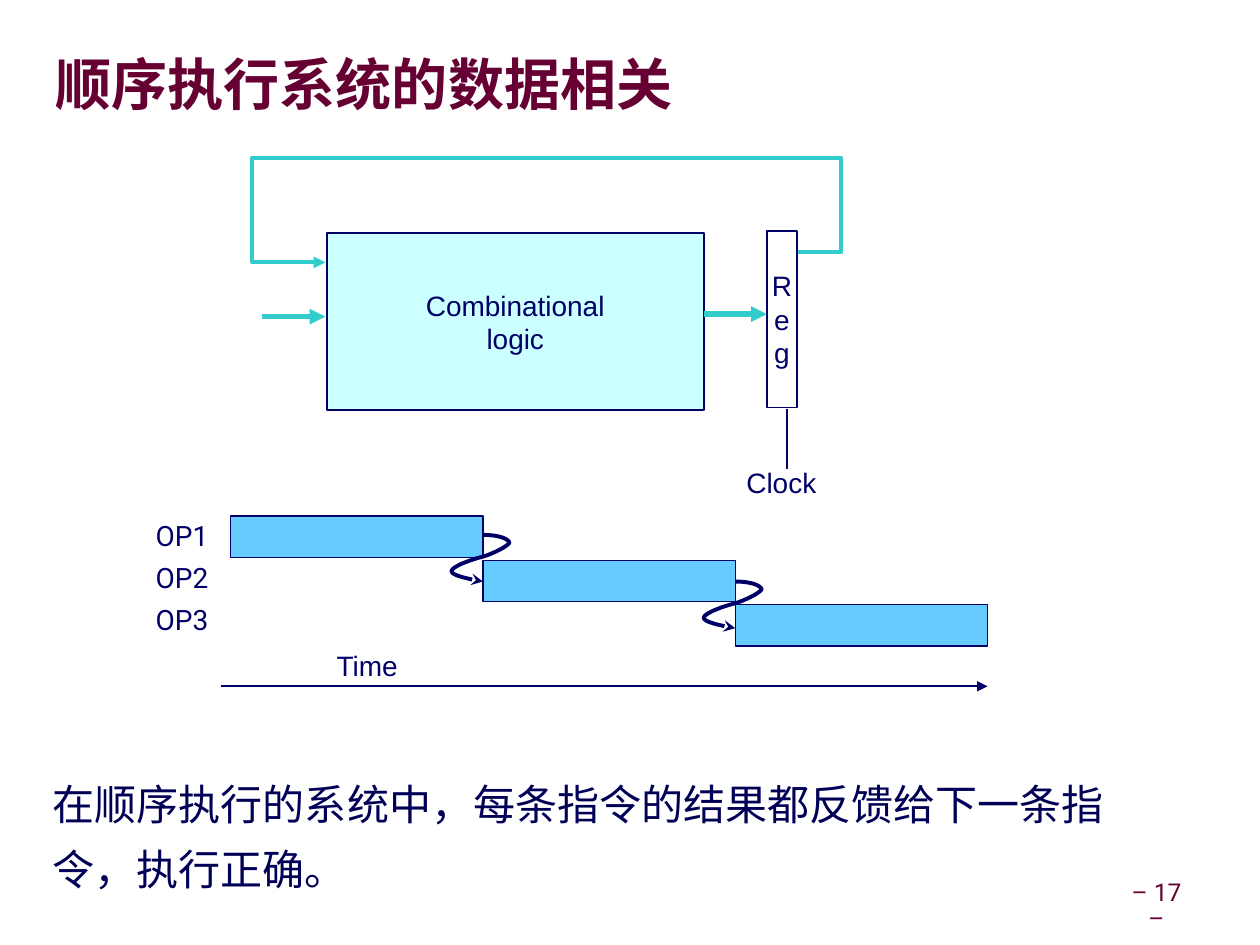
from lxml.etree import SubElement
from pptx import Presentation
from pptx.dml.color import RGBColor
from pptx.enum.shapes import MSO_CONNECTOR, MSO_SHAPE
from pptx.enum.text import MSO_ANCHOR, PP_ALIGN
from pptx.oxml.ns import qn
from pptx.util import Inches, Pt

NAVY, MAROON, TEAL = "000066", "660033", "33CCCC"
CJK = "Noto Sans CJK SC"


def color(hex_value):
    return RGBColor.from_string(hex_value)


def write(shape, lines, size=16, font="Arial", ink=NAVY, bold=False, wrap=False,
          align=PP_ALIGN.CENTER, anchor=MSO_ANCHOR.MIDDLE, spacing=1.0,
          margins=(0.1, 0.05)):
    frame = shape.text_frame
    across, down = map(Inches, margins)
    frame_format = {"word_wrap": wrap, "vertical_anchor": anchor,
                    "margin_left": across, "margin_right": across,
                    "margin_top": down, "margin_bottom": down}
    for name, value in frame_format.items():
        setattr(frame, name, value)
    for index, line in enumerate(lines):
        para = frame.add_paragraph() if index else frame.paragraphs[0]
        para_format = {"alignment": align, "line_spacing": spacing,
                       "space_before": Pt(0)}
        for name, value in para_format.items():
            setattr(para, name, value)
        # Keep closing punctuation inside the box
        para._p.get_or_add_pPr().set("hangingPunct", "0")
        span = para.add_run()
        span.text = line
        for name, value in {"size": Pt(size), "name": font, "bold": bold}.items():
            setattr(span.font, name, value)
        span.font.color.rgb = color(ink)
        SubElement(span.font._element, qn("a:ea")).set("typeface", font)


def add_label(page, box, lines, **style):
    label = page.shapes.add_textbox(*map(Inches, box))
    write(label, lines, **style)


def add_block(page, box, fill, weight):
    block = page.shapes.add_shape(MSO_SHAPE.RECTANGLE, *map(Inches, box))
    block.shadow.inherit = False
    block.fill.solid()
    block.fill.fore_color.rgb = color(fill)
    block.line.color.rgb = color(NAVY)
    block.line.width = Pt(weight)
    return block


def style_line(shape, ink, weight, arrow=None):
    shape.line.color.rgb = color(ink)
    shape.line.width = Pt(weight)
    if arrow:
        SubElement(shape.line._get_or_add_ln(), qn("a:tailEnd")).set("type", arrow)


def add_line(page, start, end, ink, weight, arrow=None):
    line = page.shapes.add_connector(
        MSO_CONNECTOR.STRAIGHT, *map(Inches, (*start, *end)))
    style_line(line, ink, weight, arrow)
    SubElement(line._element.spPr, qn("a:effectLst"))


def add_outline(page, points, ink, weight, arrow):
    corners = [(Inches(x), Inches(y)) for x, y in points]
    builder = page.shapes.build_freeform(*corners[0])
    builder.add_line_segments(corners[1:], close=False)
    outline = builder.convert_to_shape()
    outline.shadow.inherit = False
    outline.fill.background()
    style_line(outline, ink, weight, arrow)


def curve_points(left, top, steps=10):
    """Points on the S-shaped hook between two operations."""
    start, points = (0, 0), [(left, top)]
    hook = [((0.1, 0), (0.19, 0.02), (0.21, 0.06)),
            ((0.2, 0.09), (0.06, 0.16), (-0.03, 0.18)),
            ((-0.1, 0.2), (-0.25, 0.25), (-0.25, 0.29)),
            ((-0.24, 0.33), (-0.05, 0.36), (0, 0.37))]
    for first, second, end in hook:
        for step in range(1, steps + 1):
            t = step / steps
            x, y = ((1 - t) ** 3 * a + 3 * (1 - t) ** 2 * t * b
                    + 3 * (1 - t) * t ** 2 * c + t ** 3 * d
                    for a, b, c, d in zip(start, first, second, end))
            points.append((left + x, top + y))
        start = end
    return points


def add_title(page, box):
    title = page.shapes.title
    title.left, title.top, title.width, title.height = map(Inches, box)
    write(title, ["顺序执行系统的数据相关"], size=32, font=CJK, ink=MAROON, bold=True,
          wrap=True, align=PP_ALIGN.LEFT, spacing=0.87, margins=(0, 0))


def add_circuit(page, left, top):
    # Logic block and register
    logic = add_block(page, (left + 0.59, top + 0.6, 2.99, 1.4), "CCFFFF", 1)
    write(logic, ["Combinational", "logic"])
    register = add_block(page, (left + 4.08, top + 0.58, 0.24, 1.4), "FFFFFF", 1)
    write(register, list("Reg"))
    # Data arrows
    for x, y in ((0.08, 1.26), (3.58, 1.24)):
        add_line(page, (left + x, top + y), (left + x + 0.5, top + y),
                 TEAL, 3, "triangle")
    # Feedback loop
    loop = [(4.33, 0.75), (4.67, 0.75), (4.67, 0), (0, 0), (0, 0.83), (0.58, 0.83)]
    add_outline(page, [(left + x, top + y) for x, y in loop], TEAL, 2.25, "triangle")
    # Clock
    add_line(page, (left + 4.24, top + 1.99), (left + 4.24, top + 2.47), NAVY, 1)
    add_label(page, (left + 3.82, top + 2.39, 0.75, 0.36), ["Clock"],
              anchor=MSO_ANCHOR.TOP, margins=(0.05, 0.05))


def add_timeline(page, left, top):
    bar_width, bar_height, bar_pitch, label_pitch = 2, 0.33, 0.35, 1 / 3
    # Operation labels and bars, each bar starting where the last one ends
    for index in range(3):
        add_label(page, (left, top + index * label_pitch, 0.92, bar_height),
                  [f"OP{index + 1}"], font="Roboto", align=PP_ALIGN.RIGHT)
        add_block(page, (left + 1 + index * bar_width, top + 0.01 + index * bar_pitch,
                         bar_width, bar_height), "66CCFF", 0.75)
    # Dependency hooks
    for index in range(2):
        hook = curve_points(left + 1 + (index + 1) * bar_width,
                            top + 0.16 + index * 0.37)
        add_outline(page, hook, NAVY, 2.25, "stealth")
    # Time axis
    add_label(page, (left + 1.74, top + 1.01, 0.69, 0.36), ["Time"],
              align=PP_ALIGN.LEFT, anchor=MSO_ANCHOR.TOP)
    add_line(page, (left + 0.92, top + 1.36), (left + 7, top + 1.36),
             NAVY, 1, "triangle")


def add_summary(page, box):
    add_label(page, box, ["在顺序执行的系统中，每条指令的结果都反馈给下一条指令，执行正确。"],
              size=24, font=CJK, ink="000056", wrap=True, align=PP_ALIGN.LEFT,
              anchor=MSO_ANCHOR.TOP, spacing=1.3)


def add_page_number(page, box):
    add_label(page, box, ["– 17 –"], size=14, font="Roboto", ink=MAROON, wrap=True,
              spacing=0.9, margins=(0.05, 0.05))


def main():
    deck = Presentation()
    deck.slide_width, deck.slide_height = Inches(9.99), Inches(7.49)
    page = deck.slides.add_slide(deck.slide_layouts[5])
    add_title(page, (0.44, 0.27, 9.22, 0.85))
    add_circuit(page, 2, 1.25)
    add_timeline(page, 0.83, 4.08)
    add_summary(page, (0.32, 6, 9.07, 1.03))
    add_page_number(page, (8.84, 7.03, 0.66, 0.31))
    deck.save("out.pptx")


if __name__ == "__main__":
    main()
